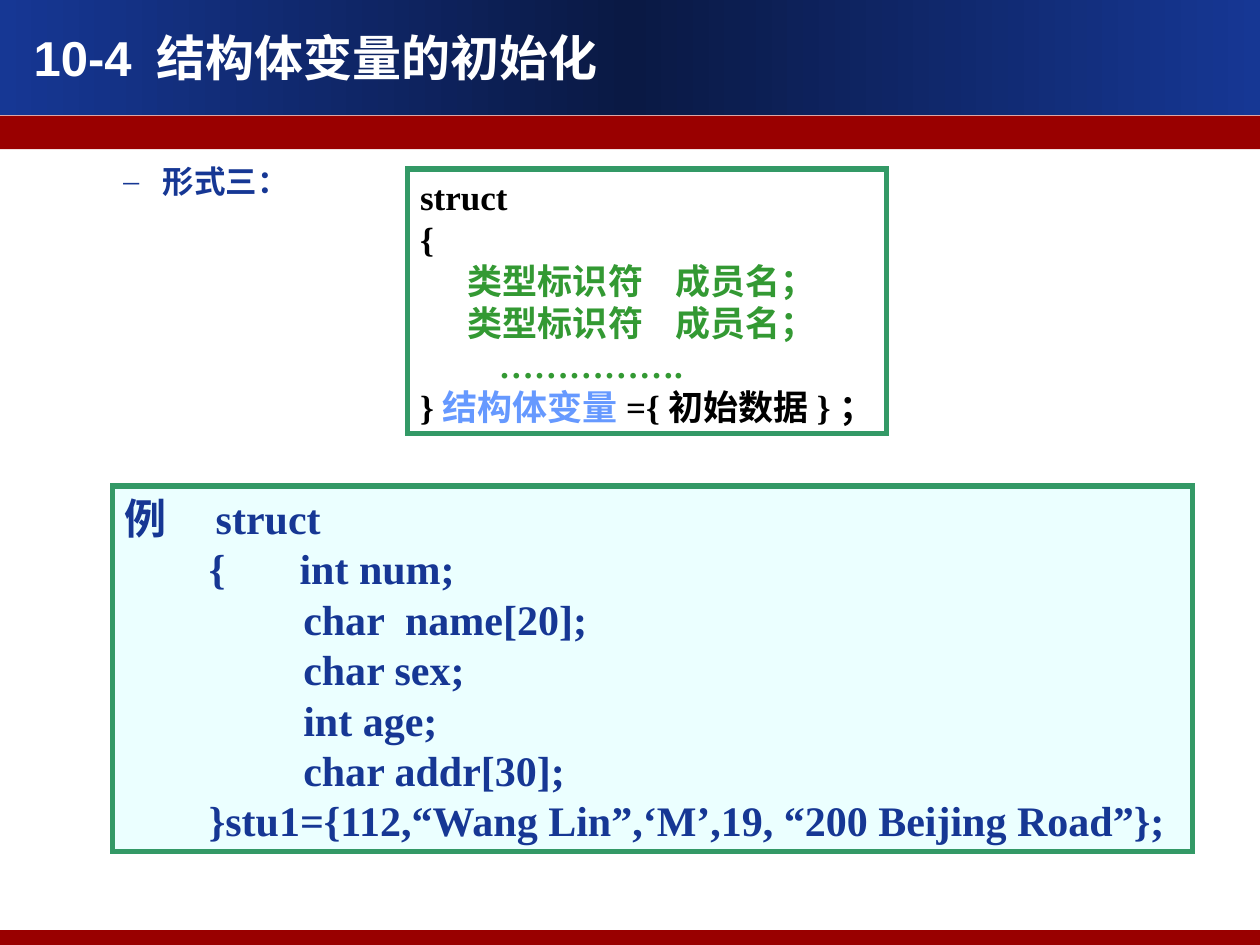
from copy import deepcopy

from lxml.etree import SubElement
from pptx import Presentation
from pptx.dml.color import RGBColor as RGB
from pptx.enum.shapes import MSO_SHAPE as SHAPE
from pptx.enum.text import MSO_ANCHOR as ANCHOR
from pptx.oxml.ns import qn
from pptx.util import Cm, Pt

# Content: each line is a list of (text, colour name) runs
TITLE = [[("10-4 结构体变量的初始化", "white")]]
FORM = [[("形式三：", "navy")]]
MEMBER = [("      类型标识符\t成员名；", "green")]
SYNTAX = [
    [("struct", "black")],
    [("{", "black")],
    MEMBER,
    MEMBER,
    [("         …………….", "green")],
    [("}", "black"), ("结构体变量", "sky"), ("={初始数据}；", "black")],
]
EXAMPLE = [[(line, "navy")] for line in (
    "例\tstruct",
    "        {\tint num;",
    "                 char  name[20];",
    "                 char sex;",
    "                 int age;",
    "                 char addr[30];",
    "        }stu1={112,“Wang Lin”,‘M’,19, “200 Beijing Road”};",
)]

THEME = {
    "navy": "163794", "night": "0A1944", "red": "990000", "white": "FFFFFF",
    "black": "000000", "green": "339933", "sky": "6699FF",
    "border": "339966", "ice": "EBFFFF",
    "sans": "Arial", "serif": "Times New Roman",
    "title": 28, "example": 24, "syntax": 20, "form": 18,
}
WIDTH, HEIGHT = 25.4, 19.05


def color(name):
    return RGB.from_string(THEME[name])


def add_rect(s, x, y, w, h, fill=None, line=None):
    sp = s.shapes.add_shape(SHAPE.RECTANGLE, Cm(x), Cm(y), Cm(w), Cm(h))
    sp.shadow.inherit = False
    if fill:
        sp.fill.solid()
        sp.fill.fore_color.rgb = color(fill)
    else:
        sp.fill.background()
    if line:
        sp.line.color.rgb = color(line)
        sp.line.width = Pt(3)
        # Square corners
        SubElement(sp._element.spPr.find(qn("a:ln")), qn("a:miter"), lim="800000")
    else:
        sp.line.fill.background()
    return sp


def add_text(sp, lines, font, size, anchor=ANCHOR.TOP, tabs=(), bullet=None):
    tf = sp.text_frame
    tf.word_wrap = True
    tf.margin_right = 0  # leaves room for the longest code line
    tf.vertical_anchor = anchor
    for i, runs in enumerate(lines):
        p = tf.add_paragraph() if i else tf.paragraphs[0]
        pPr = p._p.get_or_add_pPr()
        pPr.set("algn", "l")
        if bullet:
            pPr.set("marL", str(Cm(2.06)))
            pPr.set("indent", str(Cm(-0.79)))
            clr = SubElement(pPr, qn("a:buClr"))
            SubElement(clr, qn("a:srgbClr"), val=THEME["navy"])
            SubElement(pPr, qn("a:buFont"), typeface=THEME["serif"])
            SubElement(pPr, qn("a:buChar"), char=bullet)
        if tabs:
            stops = SubElement(pPr, qn("a:tabLst"))
            for pos in tabs:
                SubElement(stops, qn("a:tab"), pos=str(Cm(pos)), algn="l")
        for text, name in runs:
            r = p.add_run()
            r.text = text
            r.font.name = THEME[font]
            r.font.size = Pt(THEME[size])
            r.font.bold = True
            r.font.color.rgb = color(name)


def add_box(s, x, y, w, h):
    return s.shapes.add_textbox(Cm(x), Cm(y), Cm(w), Cm(h))


prs = Presentation()
prs.slide_width, prs.slide_height = Cm(WIDTH), Cm(HEIGHT)
s = prs.slides.add_slide(prs.slide_layouts[6])

# Header band, dark in the middle
header = add_rect(s, 0, 0, WIDTH, 2.32)
header.fill.gradient()
header.fill.gradient_angle = 0
gs_list = header._element.spPr.find(".//" + qn("a:gsLst"))
gs_list.insert(1, deepcopy(gs_list[0]))
for stop, pos, name in zip(header.fill.gradient_stops, (0, 0.5, 1),
                           ("navy", "night", "navy")):
    stop.position = pos
    stop.color.rgb = color(name)

# Red bars
add_rect(s, 0, 2.33, WIDTH, 0.68, "red")
add_rect(s, 0, 18.75, WIDTH, 0.3, "red")

# Bulleted heading
add_text(add_box(s, 0.97, 3.14, 23.32, 1.4), FORM, "sans", "form", bullet="–")

# Syntax and example boxes
add_text(add_rect(s, 8.22, 3.41, 9.65, 5.33, line="border"), SYNTAX,
         "serif", "syntax", ANCHOR.MIDDLE, tabs=(5.14,))
add_text(add_rect(s, 2.27, 9.8, 21.77, 7.37, "ice", "border"), EXAMPLE,
         "serif", "example", ANCHOR.MIDDLE, tabs=(1.83, 3.52))

# Title
add_text(add_box(s, 0.43, 0.43, 19.05, 1.52), TITLE, "sans", "title")

prs.save("out.pptx")
